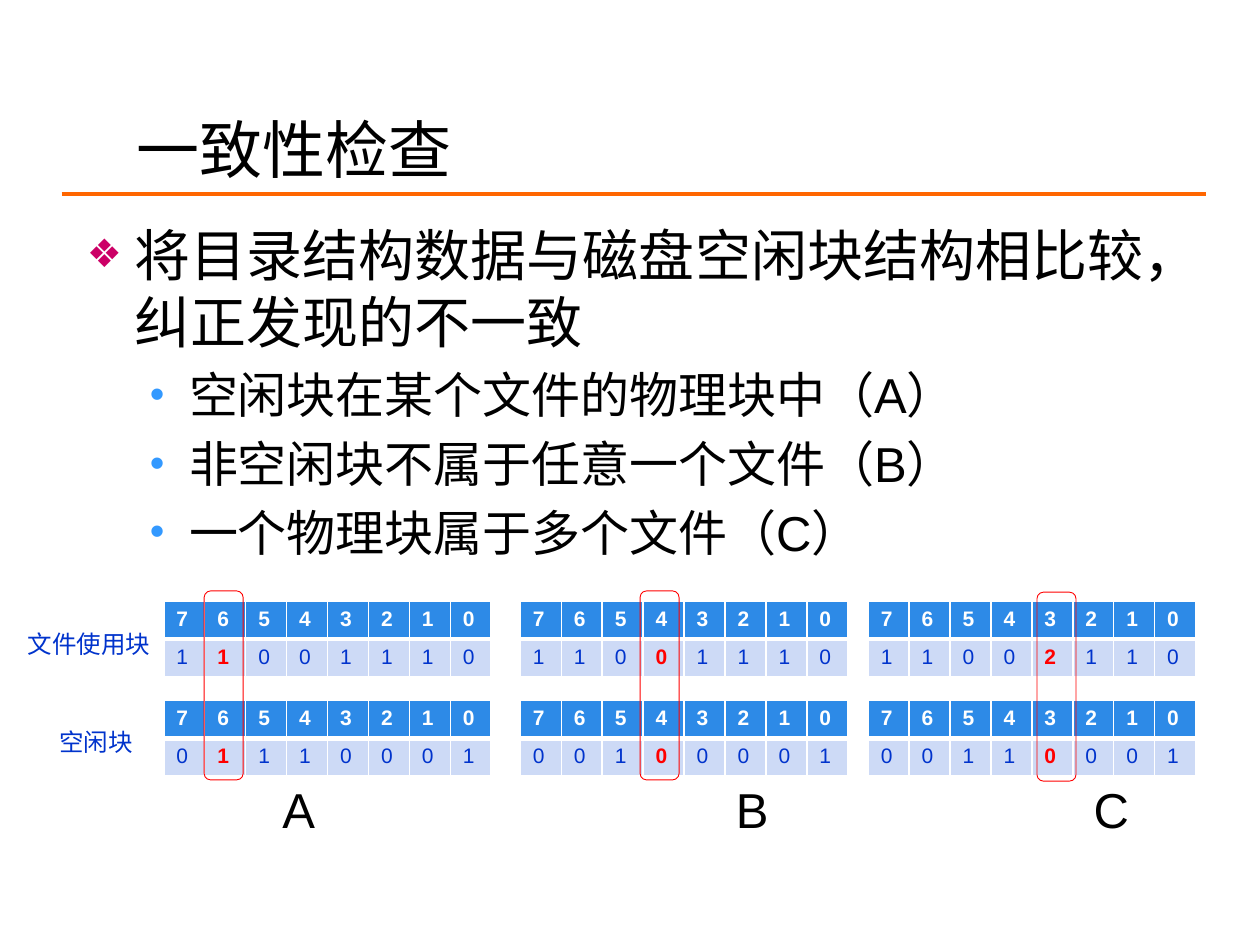
from lxml import etree
from pptx import Presentation
from pptx.dml.color import RGBColor
from pptx.enum import shapes, text
from pptx.oxml import ns
from pptx.util import Inches, Pt

COLORS = {"black": "000000", "white": "FFFFFF", "rule": "FF6600", "diamond": "CC0066",
          "dot": "3399FF", "header": "2D8AE7", "cell": "CDDAF6", "blue": "0033CC",
          "red": "FF0000"}
TITLE = "一致性检查"
BULLETS = [
    (0, "将目录结构数据与磁盘空闲块结构相比较，纠正发现的不一致"),
    (1, "空闲块在某个文件的物理块中（A）"),
    (1, "非空闲块不属于任意一个文件（B）"),
    (1, "一个物理块属于多个文件（C）"),
]
LEVELS = [
    {"size": 32, "left": 0.38, "hang": 0.38, "char": "❖", "color": "diamond", "percent": 70},
    {"size": 28, "left": 0.81, "hang": 0.31, "char": "•", "color": "dot", "percent": 85},
]
BLOCK_NUMBERS = "76543210"
# Bit maps: files in use, then free blocks; "bad" is the inconsistent column
CASES = [
    {"name": "A", "left": 1.3, "bad": 1, "bits": ("11001110", "01110001"),
     "frame": (1.62, 4.69), "name_center": 2.37},
    {"name": "B", "left": 4.13, "bad": 3, "bits": ("11001110", "00100001"),
     "frame": (5.08, 4.69), "name_center": 5.97},
    {"name": "C", "left": 6.89, "bad": 4, "bits": ("11002110", "00110001"),
     "frame": (8.23, 4.7), "name_center": 8.82},
]
TABLE_TOPS = (4.77, 5.56)
TABLE_WIDTH, ROW_HEIGHT = 2.6, 0.3
ROW_LABELS = [("文件使用块", (0.12, 4.94, 1.3, 0.34)), ("空闲块", (0.37, 5.72, 0.79, 0.34))]


def rgb(name):
    return RGBColor.from_string(COLORS[name])


def inches(values):
    return [Inches(value) for value in values]


def format_font(font, size, color, bold=False):
    for attribute, value in {"name": "Arial", "size": Pt(size), "bold": bold}.items():
        setattr(font, attribute, value)
    font.color.rgb = rgb(color)


def place(shape, box):
    for attribute, value in zip(("left", "top", "width", "height"), inches(box)):
        setattr(shape, attribute, value)


def add_bullet(paragraph, level):
    properties = paragraph._p.get_or_add_pPr()
    properties.set("marL", str(Inches(level["left"])))
    properties.set("indent", str(-Inches(level["hang"])))
    color = etree.SubElement(properties, ns.qn("a:buClr"))
    etree.SubElement(color, ns.qn("a:srgbClr"), val=COLORS[level["color"]])
    etree.SubElement(properties, ns.qn("a:buSzPct"), val=str(level["percent"] * 1000))
    etree.SubElement(properties, ns.qn("a:buFont"), typeface="Arial")
    etree.SubElement(properties, ns.qn("a:buChar"), char=level["char"])


def add_borders(cell, widths):
    """Draw white borders; widths are points for left, right, top, bottom."""
    properties = cell._tc.get_or_add_tcPr()
    for index, (side, width) in enumerate(zip("LRTB", widths)):
        line = etree.Element(ns.qn(f"a:ln{side}"), w=str(Pt(width)))
        fill = etree.SubElement(line, ns.qn("a:solidFill"))
        etree.SubElement(fill, ns.qn("a:srgbClr"), val=COLORS["white"])
        properties.insert(index, line)


def add_text(slide, words, box, size, color, align=None):
    text_box = slide.shapes.add_textbox(*inches(box))
    text_box.text_frame.word_wrap = True
    paragraph = text_box.text_frame.paragraphs[0]
    paragraph.text = words
    paragraph.alignment = align
    format_font(paragraph.font, size, color)


def add_bitmap(slide, left, top, bits, bad):
    columns = len(BLOCK_NUMBERS)
    frame = slide.shapes.add_table(
        2, columns, *inches((left, top, TABLE_WIDTH, 2 * ROW_HEIGHT)))
    table = frame.table
    for column in table.columns:
        column.width = Inches(TABLE_WIDTH / columns)
    for row, digits in enumerate((BLOCK_NUMBERS, bits)):
        for column, digit in enumerate(digits):
            cell = table.cell(row, column)
            cell.fill.solid()
            cell.fill.fore_color.rgb = rgb("cell" if row else "header")
            add_borders(cell, (1, 1, 3, 1) if row else (1, 1, 1, 3))
            cell.text = digit
            marked = column == bad
            color = "white" if row == 0 else "red" if marked else "blue"
            format_font(cell.text_frame.paragraphs[0].runs[0].font, 12, color,
                        row == 0 or marked)


def add_highlight(slide, left, top):
    highlight = slide.shapes.add_shape(
        shapes.MSO_SHAPE.ROUNDED_RECTANGLE, *inches((left, top, 0.31, 1.5)))
    highlight.adjustments[0] = 0.167
    highlight.shadow.inherit = False
    highlight.fill.background()
    highlight.line.color.rgb = rgb("red")
    highlight.line.width = Pt(0.5)


def add_title(slide):
    title = slide.shapes.title
    place(title, (0.98, 0.84, 8.83, 0.67))
    title.text_frame.text = TITLE
    title.text_frame.vertical_anchor = text.MSO_ANCHOR.MIDDLE
    title.text_frame.auto_size = text.MSO_AUTO_SIZE.NONE
    paragraph = title.text_frame.paragraphs[0]
    paragraph.alignment = text.PP_ALIGN.LEFT
    format_font(paragraph.runs[0].font, 36, "black")

    rule = slide.shapes.add_connector(
        shapes.MSO_CONNECTOR.STRAIGHT, *inches((0.49, 1.54, 9.57, 1.54)))
    rule.line.color.rgb = rgb("rule")
    rule.line.width = Pt(2.25)
    etree.SubElement(rule._element.spPr, ns.qn("a:effectLst"))


def add_bullets(slide):
    body = slide.placeholders[1]
    place(body, (0.59, 1.7, 8.82, 2.9))
    frame = body.text_frame
    frame.auto_size = text.MSO_AUTO_SIZE.NONE
    for index, (depth, words) in enumerate(BULLETS):
        paragraph = frame.add_paragraph() if index else frame.paragraphs[0]
        level = LEVELS[depth]
        paragraph.level = depth
        add_bullet(paragraph, level)
        paragraph.space_before = Pt(0.2 * level["size"] if index else 0)
        run = paragraph.add_run()
        run.text = words
        format_font(run.font, level["size"], "black")


def main():
    presentation = Presentation()
    presentation.slide_width, presentation.slide_height = inches((10, 7.5))
    slide = presentation.slides.add_slide(presentation.slide_layouts[1])
    add_title(slide)
    add_bullets(slide)
    for case in CASES:
        for top, bits in zip(TABLE_TOPS, case["bits"]):
            add_bitmap(slide, case["left"], top, bits, case["bad"])
        add_highlight(slide, *case["frame"])
        add_text(slide, case["name"], (case["name_center"] - 0.4, 6.14, 0.8, 0.55),
                 28, "black", text.PP_ALIGN.CENTER)
    for words, box in ROW_LABELS:
        add_text(slide, words, box, 14, "blue")
    presentation.save("out.pptx")


if __name__ == "__main__":
    main()
